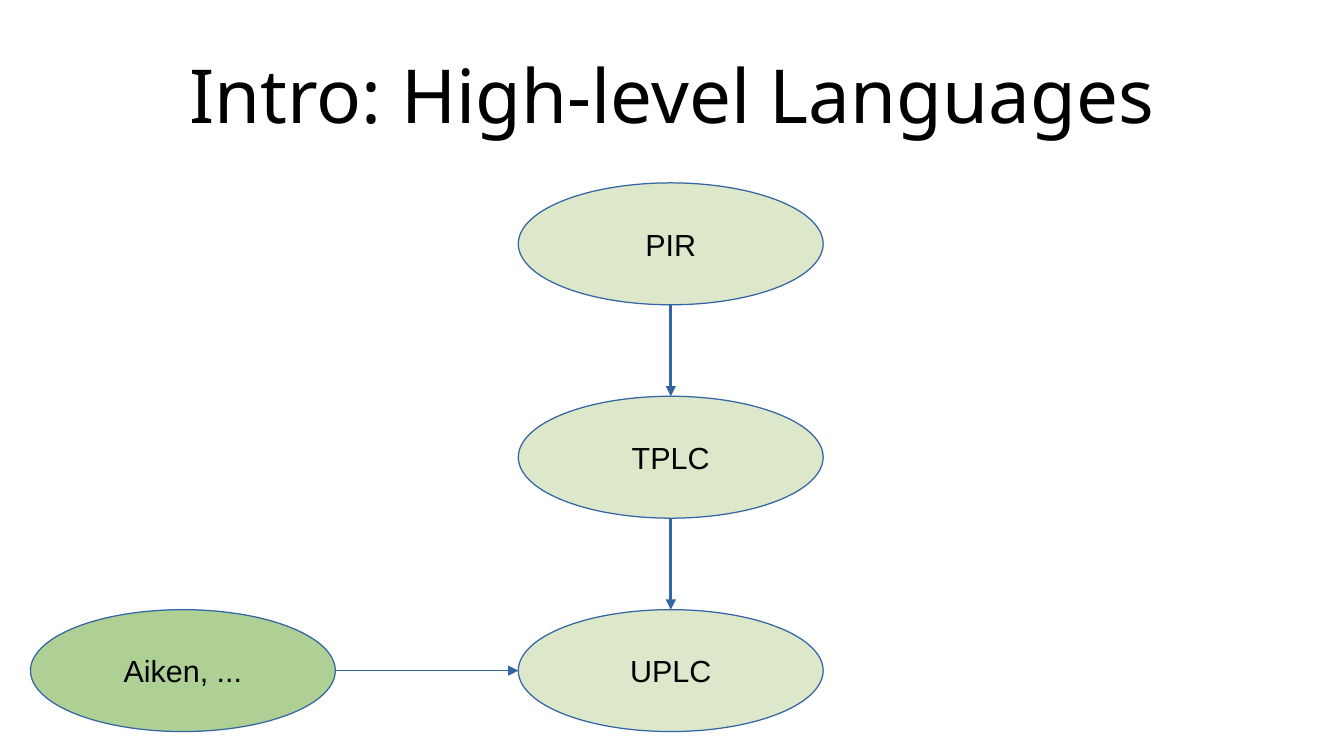
from lxml.etree import SubElement
from pptx import Presentation
from pptx.dml.color import RGBColor
from pptx.enum.shapes import MSO_CONNECTOR as Connector, MSO_SHAPE as Shape
from pptx.enum.text import MSO_ANCHOR as Anchor, PP_ALIGN as Align
from pptx.oxml.ns import qn
from pptx.util import Inches, Pt

BLACK, BLUE = "000000", "3465A4"
PALE_GREEN, GREEN = "DDE8CB", "AFD095"
OVAL_WIDTH, OVAL_HEIGHT = 2.5, 1
STACK_LEFT, STACK_TOP, STACK_STEP = 4.25, 1.5, 1.75


def color(value):
    """Turn a hex string into a colour."""
    return RGBColor.from_string(value)


def write_text(box, text, font, size):
    """Write one centred line of black text into a box."""
    frame = box.text_frame
    frame.word_wrap = True
    frame.vertical_anchor = Anchor.MIDDLE
    para = frame.paragraphs[0]
    para.text = text
    para.alignment = Align.CENTER
    para.font.name = font
    para.font.size = Pt(size)
    para.font.color.rgb = color(BLACK)


def add_title(page, text):
    """Add the slide title without inner margins."""
    box = page.shapes.add_textbox(Inches(0.55), Inches(0.25), Inches(9.92), Inches(1.04))
    frame = box.text_frame
    frame.margin_left = frame.margin_right = frame.margin_top = frame.margin_bottom = 0
    write_text(box, text, "Noto Sans", 44)


def add_language(page, name, left, top, fill):
    """Add the labelled oval of one language."""
    oval = page.shapes.add_shape(
        Shape.OVAL, Inches(left), Inches(top), Inches(OVAL_WIDTH), Inches(OVAL_HEIGHT))
    oval.shadow.inherit = False
    oval.fill.solid()
    oval.fill.fore_color.rgb = color(fill)
    oval.line.color.rgb = color(BLUE)
    oval.line.width = Pt(0)
    write_text(oval, name, "Arial", 18)
    return oval


def add_arrow(page, start, end, width):
    """Add a straight arrow between two points."""
    arrow = page.shapes.add_connector(Connector.STRAIGHT, *start, *end)
    arrow.line.color.rgb = color(BLUE)
    arrow.line.width = Pt(width)
    SubElement(arrow.line._get_or_add_ln(), qn("a:tailEnd"), type="triangle")
    SubElement(arrow._element.spPr, qn("a:effectLst"))


def add_down_arrow(page, upper, lower):
    """Add a hairline arrow from one oval to the oval below it."""
    center = upper.left + upper.width // 2
    add_arrow(page, (center, upper.top + upper.height), (center, lower.top), 0)


def add_right_arrow(page, source, target):
    """Add an arrow from one oval to the oval on its right."""
    middle = source.top + source.height // 2
    add_arrow(page, (source.left + source.width, middle), (target.left, middle), 1)


def main():
    """Build the slide and save it."""
    deck = Presentation()
    deck.slide_width, deck.slide_height = Inches(11.02), Inches(6.2)
    page = deck.slides.add_slide(deck.slide_layouts[6])
    add_title(page, "Intro: High-level Languages")
    stack = [
        add_language(page, name, STACK_LEFT, STACK_TOP + row * STACK_STEP, PALE_GREEN)
        for row, name in enumerate(("PIR", "TPLC", "UPLC"))
    ]
    aiken = add_language(page, "Aiken, ...", 0.25, STACK_TOP + 2 * STACK_STEP, GREEN)
    for upper, lower in zip(stack, stack[1:]):
        add_down_arrow(page, upper, lower)
    add_right_arrow(page, aiken, stack[-1])
    deck.save("out.pptx")


if __name__ == "__main__":
    main()
